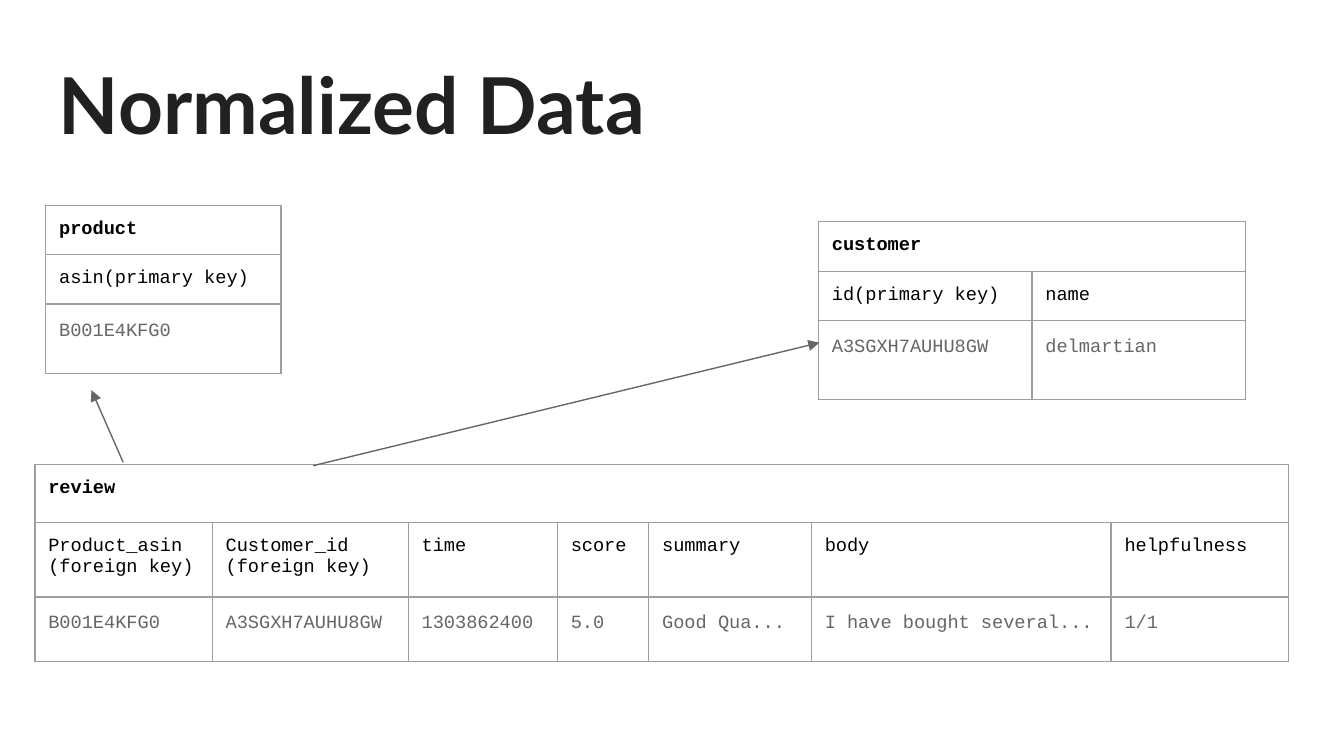
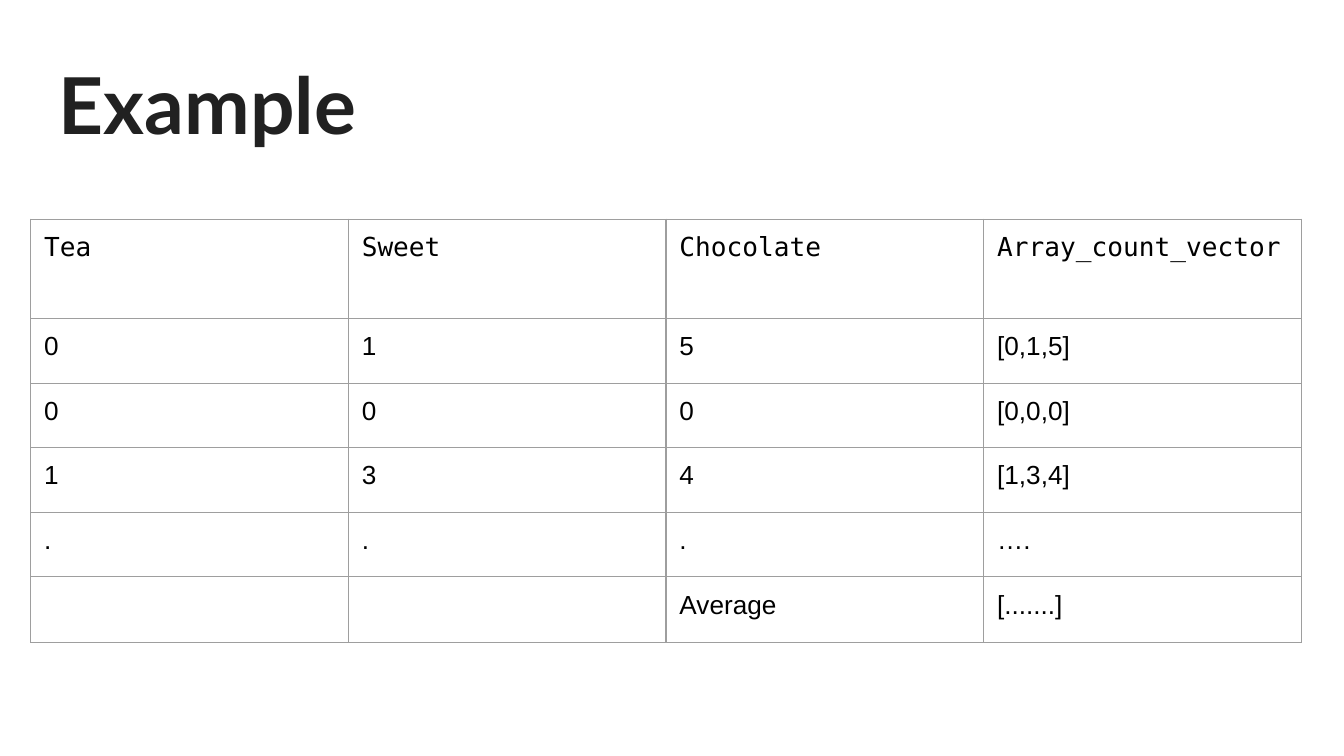
from lxml.etree import SubElement
from pptx import Presentation
from pptx.dml.color import RGBColor
from pptx.enum.shapes import MSO_CONNECTOR
from pptx.enum.text import MSO_ANCHOR
from pptx.oxml import parse_xml
from pptx.oxml.ns import nsdecls, qn
from pptx.util import Pt

TITLE_INK = "212121"
INK = "000000"
GREY = "666666"
BORDER = "9E9E9E"
WHITE = "FFFFFF"
TITLE_FONT = "Lato"
CODE_FONT = "Courier New"
HEADER_FONT = "DejaVu Sans Mono"
BODY_FONT = "Arial"
INSET = 7.2
LINE_WIDTH = 0.75
TITLE_BOX = (24.5, 23, 671, 63.4)


def rgb(value):
    return RGBColor.from_string(value)


def set_font(paragraph, name, size, color, bold=False):
    font = paragraph.font
    font.name, font.size, font.bold = name, Pt(size), bold
    font.color.rgb = rgb(color)


def set_insets(target):
    target.margin_left = target.margin_right = Pt(INSET)
    target.margin_top = target.margin_bottom = Pt(INSET)


def add_title(slide, text, box):
    frame = slide.shapes.add_textbox(*map(Pt, box)).text_frame
    frame.word_wrap = True
    frame.vertical_anchor = MSO_ANCHOR.TOP
    set_insets(frame)
    frame.text = text
    set_font(frame.paragraphs[0], TITLE_FONT, 42, TITLE_INK, True)


def style_cell(cell):
    set_insets(cell)
    cell.fill.solid()
    cell.fill.fore_color.rgb = rgb(WHITE)
    properties = cell._tc.get_or_add_tcPr()
    for position, side in enumerate("LRTB"):
        properties.insert(position, parse_xml(
            f'<a:ln{side} {nsdecls("a")} w="{Pt(LINE_WIDTH)}"><a:solidFill>'
            f'<a:srgbClr val="{BORDER}"/></a:solidFill></a:ln{side}>'))


def add_grid(slide, left, top, widths, heights, rows, style_paragraph):
    table = slide.shapes.add_table(
        len(heights), len(widths), Pt(left), Pt(top),
        Pt(sum(widths)), Pt(sum(heights))).table
    table.first_row = table.horz_banding = False
    for column, width in zip(table.columns, widths):
        column.width = Pt(width)
    for row, height in zip(table.rows, heights):
        row.height = Pt(height)
    for r, row in enumerate(rows):
        for c in range(len(widths)):
            cell = table.cell(r, c)
            style_cell(cell)
            cell.text = row[c] if c < len(row) else ""
            for paragraph in cell.text_frame.paragraphs:
                style_paragraph(paragraph, r)
    return table


def style_entity_paragraph(paragraph, row):
    is_value = row == 2
    set_font(paragraph, CODE_FONT, 10, GREY if is_value else INK, row == 0)
    if is_value:
        paragraph.line_spacing = 1.15
        paragraph.space_after = Pt(16)


def add_entity(slide, left, top, widths, heights, name, fields, values):
    table = add_grid(slide, left, top, widths, heights,
                     [[name], fields, values], style_entity_paragraph)
    if len(widths) > 1:
        table.cell(0, 0).merge(table.cell(0, len(widths) - 1))


def add_key_arrow(slide, start, end):
    arrow = slide.shapes.add_connector(
        MSO_CONNECTOR.STRAIGHT, *map(Pt, (*start, *end)))
    arrow.line.color.rgb = rgb(GREY)
    arrow.line.width = Pt(LINE_WIDTH)
    SubElement(arrow.line._get_or_add_ln(), qn("a:tailEnd"),
               type="triangle", w="med", len="med")
    SubElement(arrow._element.spPr, qn("a:effectLst"))


def style_vector_paragraph(paragraph, row):
    set_font(paragraph, HEADER_FONT if row == 0 else BODY_FONT, 14, INK)


def add_blank_slide(deck, title):
    slide = deck.slides.add_slide(deck.slide_layouts[6])
    slide.background.fill.solid()
    slide.background.fill.fore_color.rgb = rgb(WHITE)
    add_title(slide, title, TITLE_BOX)
    return slide


def build_normalized_data(deck):
    slide = add_blank_slide(deck, "Normalized Data")
    add_entity(slide, 24.5, 110, [126], [24, 24, 37.2], "product",
               ["asin(primary key)"], ["B001E4KFG0"])
    add_entity(slide, 438.5, 118.8, [114.4] * 2, [21.6, 15.1, 42.5], "customer",
               ["id(primary key)", "name"], ["A3SGXH7AUHU8GW", "delmartian"])
    add_entity(slide, 18.7, 249, [95, 105, 79.9, 49, 87.1, 160.6, 95],
               [31, 39.8, 34.7], "review",
               ["Product_asin\n(foreign key)", "Customer_id\n(foreign key)",
                "time", "score", "summary", "body", "helpfulness"],
               ["B001E4KFG0", "A3SGXH7AUHU8GW", "1303862400", "5.0",
                "Good Qua...", "I have bought several...", "1/1"])
    add_key_arrow(slide, (66, 247.7), (49, 209))
    add_key_arrow(slide, (167.8, 249.5), (439, 183.6))


def build_example(deck):
    slide = add_blank_slide(deck, "Example")
    add_grid(slide, 16.4, 117.4, [170.2] * 4, [53.3] + [34.6] * 4 + [35.2], [
        ["Tea", "Sweet", "Chocolate", "Array_count_vector"],
        ["0", "1", "5", "[0,1,5]"],
        ["0", "0", "0", "[0,0,0]"],
        ["1", "3", "4", "[1,3,4]"],
        [".", ".", ".", "…."],
        ["", "", "Average", "[.......]"],
    ], style_vector_paragraph)


def main():
    deck = Presentation()
    deck.slide_width, deck.slide_height = Pt(720), Pt(405)
    build_normalized_data(deck)
    build_example(deck)
    deck.save("out.pptx")


if __name__ == "__main__":
    main()
